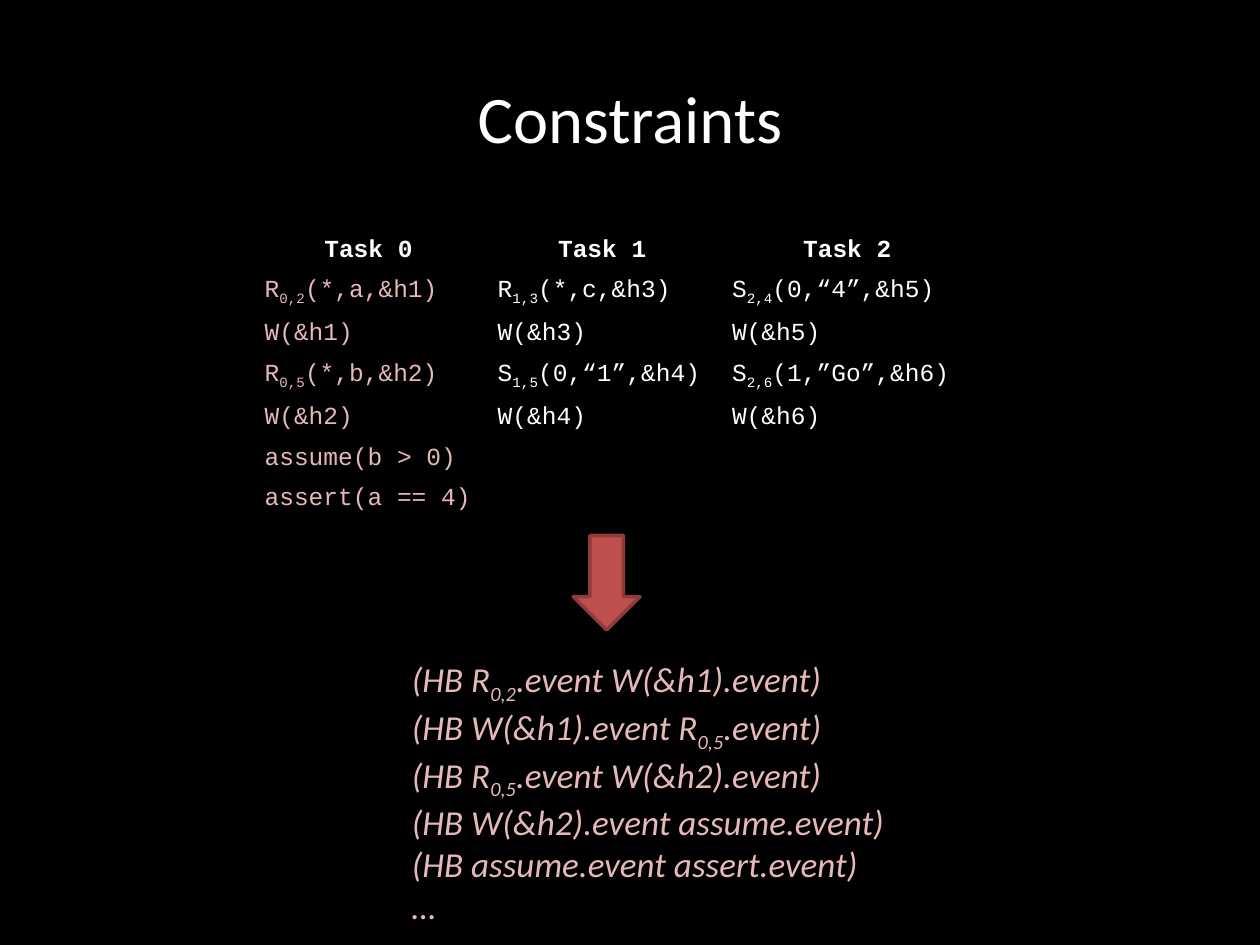
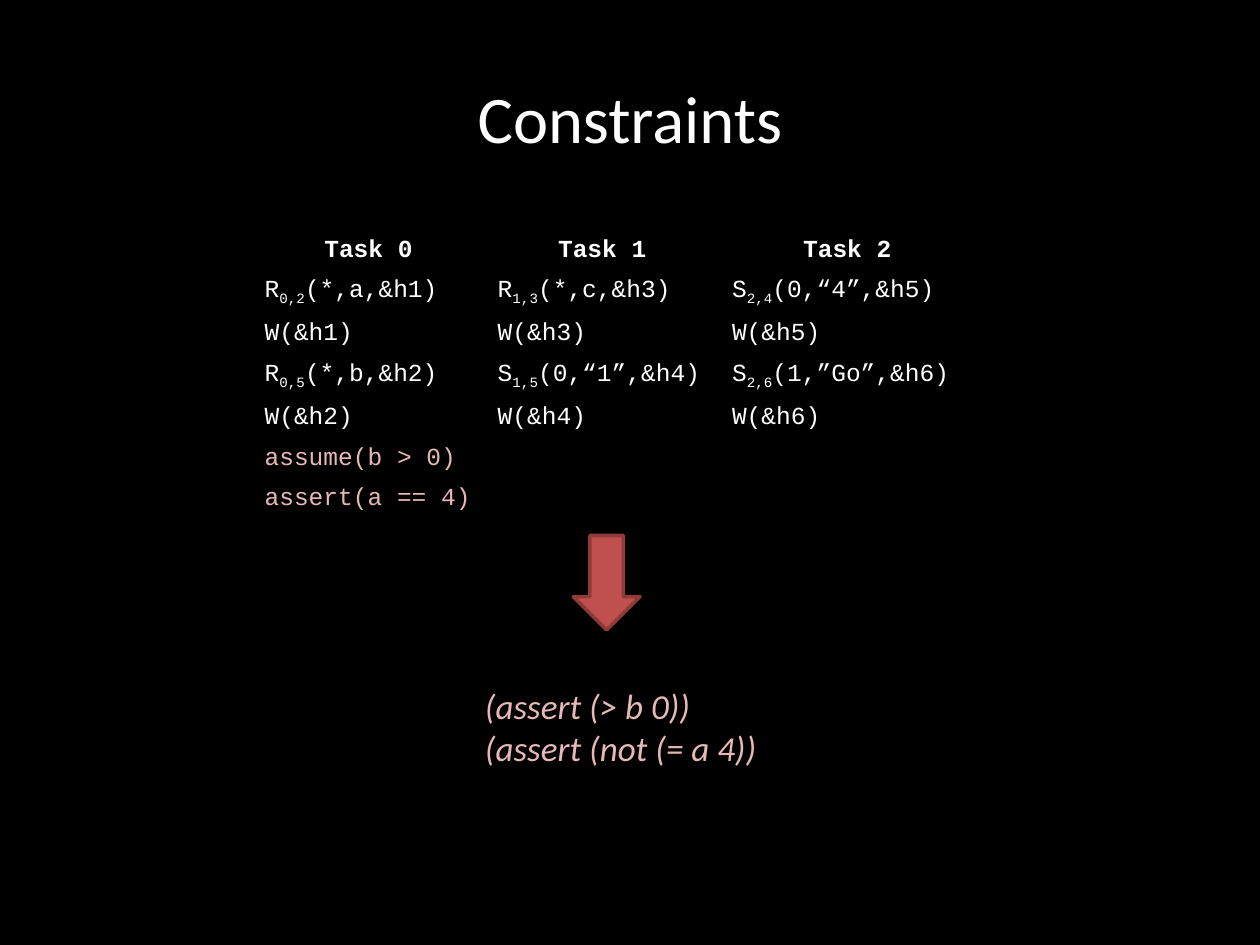
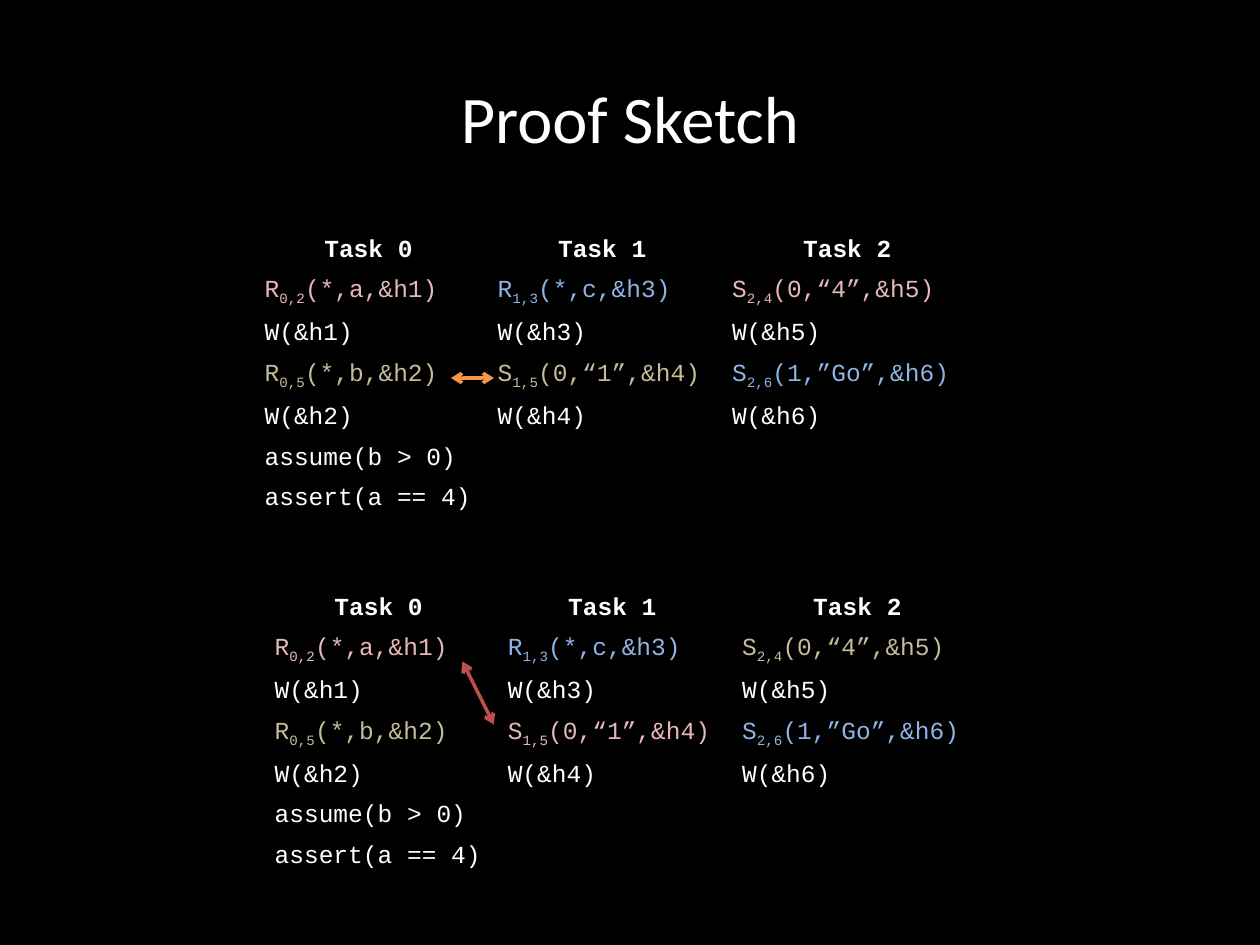
import pptx
import pptx.util
import pptx.dml.color
import pptx.enum.shapes
import pptx.enum.text
import pptx.oxml.ns
import pptx.oxml.xmlchemy
import pptx.text.text

INCH = pptx.util.Inches
PT = pptx.util.Pt
BLACK, WHITE, PINK, BLUE, TAN = "000000", "FFFFFF", "E6B9B8", "8EB4E3", "C4BD97"
RED, DARK, GOLD = "C0504D", "8E3B39", "F79646"
CODE, SANS = "Courier New", "Calibri"

TASKS = [
    ("Task 0", "Task 1", "Task 2"),
    ("R_0,2_(*,a,&h1)", "R_1,3_(*,c,&h3)", "S_2,4_(0,“4”,&h5)"),
    ("W(&h1)", "W(&h3)", "W(&h5)"),
    ("R_0,5_(*,b,&h2)", "S_1,5_(0,“1”,&h4)", "S_2,6_(1,”Go”,&h6)"),
    ("W(&h2)", "W(&h4)", "W(&h6)"),
    ("assume(b > 0)", "", ""),
    ("assert(a == 4)", "", ""),
]
COLS = (1.85, 1.86, 2.03)
ROWS = (0.28,) + (0.22,) * 6
HIGH = 2.33
TOP = (2, 1.83)
LOW = (2.08, 4.67)

ORDER = [
    "(HB R_0,2_.event W(&h1).event)",
    "(HB W(&h1).event R_0,5_.event)",
    "(HB R_0,5_.event W(&h2).event)",
    "(HB W(&h2).event assume.event)",
    "(HB assume.event assert.event)",
    "…",
]
CHECKS = ["(assert (> b 0))", "(assert (not (= a 4))"]

BASE = {(1, 0): PINK, (1, 1): BLUE, (3, 0): TAN, (3, 2): BLUE}
FIRST = {**BASE, (1, 2): PINK, (3, 1): TAN}
SECOND = {**BASE, (1, 2): TAN, (3, 1): PINK}

SLIDES = [
    {"title": "Constraints",
     "tables": [(TOP, {(row, 0): PINK for row in range(1, 7)})],
     "rules": (ORDER, (3.17, 5.17, 4.5, 2.12))},
    {"title": "Constraints",
     "tables": [(TOP, {(row, 0): PINK for row in (5, 6)})],
     "rules": (CHECKS, (3.75, 5.38, 4.08, 0.77))},
    {"title": "Proof Sketch",
     "tables": [(TOP, FIRST), (LOW, SECOND)],
     "links": [((3.67, 5.25, 3.92, 5.75), RED), ((3.58, 3, 3.92, 3), GOLD)]},
]


def paint(item, tint):
    if hasattr(item, "solid"):
        item.solid()
        item = item.fore_color
    item.rgb = pptx.dml.color.RGBColor.from_string(tint)


def style(font, face, size, tint, bold=False, slant=False):
    font.name, font.size = face, PT(size)
    font.bold, font.italic = bold, slant
    paint(font.color, tint)


def write(para, text):
    for spot, part in enumerate(text.split("_")):
        if part:
            run = para.add_run()
            run.text = part
            if spot % 2:
                run._r.get_or_add_rPr().set("baseline", "-25000")


def head(slide, text):
    title = slide.shapes.title
    title.left, title.top, title.width, title.height = map(INCH, (0.5, 0.3, 9, 1.25))
    title.text_frame.text = text
    title.text_frame.vertical_anchor = pptx.enum.text.MSO_ANCHOR.MIDDLE
    para = title.text_frame.paragraphs[0]
    para.alignment = pptx.enum.text.PP_ALIGN.CENTER
    style(para.font, SANS, 38, WHITE)


def grid(slide, spot, tints):
    frame = slide.shapes.add_table(
        len(ROWS), len(COLS), *map(INCH, (*spot, sum(COLS), HIGH)))
    table = frame.table
    table.horz_banding = False
    mark = table._tbl.tblPr.find(pptx.oxml.ns.qn("a:tableStyleId"))
    mark.text = "{2D5ABB26-0587-4C30-8999-92F81FD0307C}"
    for col, width in zip(table.columns, COLS):
        col.width = INCH(width)
    for row, height in zip(table.rows, ROWS):
        row.height = INCH(height)
    frame.height = INCH(HIGH)
    for row, texts in enumerate(TASKS):
        for col, text in enumerate(texts):
            cell = table.cell(row, col)
            paint(cell.fill, BLACK)
            para = cell.text_frame.paragraphs[0]
            font = para.font
            if not text:
                font = pptx.text.text.Font(para._p.get_or_add_endParaRPr())
            style(font, CODE, 14, tints.get((row, col), WHITE), bold=row == 0)
            if row == 0:
                para.alignment = pptx.enum.text.PP_ALIGN.CENTER
            write(para, text)


def rules(slide, lines, area):
    frame = slide.shapes.add_textbox(*map(INCH, area)).text_frame
    frame.word_wrap = True
    frame.auto_size = pptx.enum.text.MSO_AUTO_SIZE.SHAPE_TO_FIT_TEXT
    for spot, line in enumerate(lines):
        para = frame.add_paragraph() if spot else frame.paragraphs[0]
        style(para.font, SANS, 20, PINK, slant=True)
        write(para, line)


def arrow(slide):
    shape = slide.shapes.add_shape(
        pptx.enum.shapes.MSO_SHAPE.DOWN_ARROW, *map(INCH, (4.55, 4.25, 0.53, 0.75)))
    shape.shadow.inherit = False
    paint(shape.fill, RED)
    paint(shape.line.fill, DARK)
    shape.line.width = PT(2)


def link(slide, ends, tint):
    make = pptx.oxml.xmlchemy.OxmlElement
    line = slide.shapes.add_connector(
        pptx.enum.shapes.MSO_CONNECTOR.STRAIGHT, *map(INCH, ends))
    paint(line.line.fill, tint)
    line.line.width = PT(2)
    for end in ("headEnd", "tailEnd"):
        tip = make("a:" + end)
        tip.set("type", "arrow")
        line.line._get_or_add_ln().append(tip)
    line._element.spPr.append(make("a:effectLst"))


deck = pptx.Presentation()
deck.slide_width, deck.slide_height = INCH(10), INCH(7.5)
paint(deck.slide_master.background.fill, BLACK)
for page in SLIDES:
    slide = deck.slides.add_slide(deck.slide_layouts[5])
    head(slide, page["title"])
    for spot, tints in page["tables"]:
        grid(slide, spot, tints)
    if "rules" in page:
        rules(slide, *page["rules"])
        arrow(slide)
    for ends, tint in page.get("links", []):
        link(slide, ends, tint)
deck.save("out.pptx")
